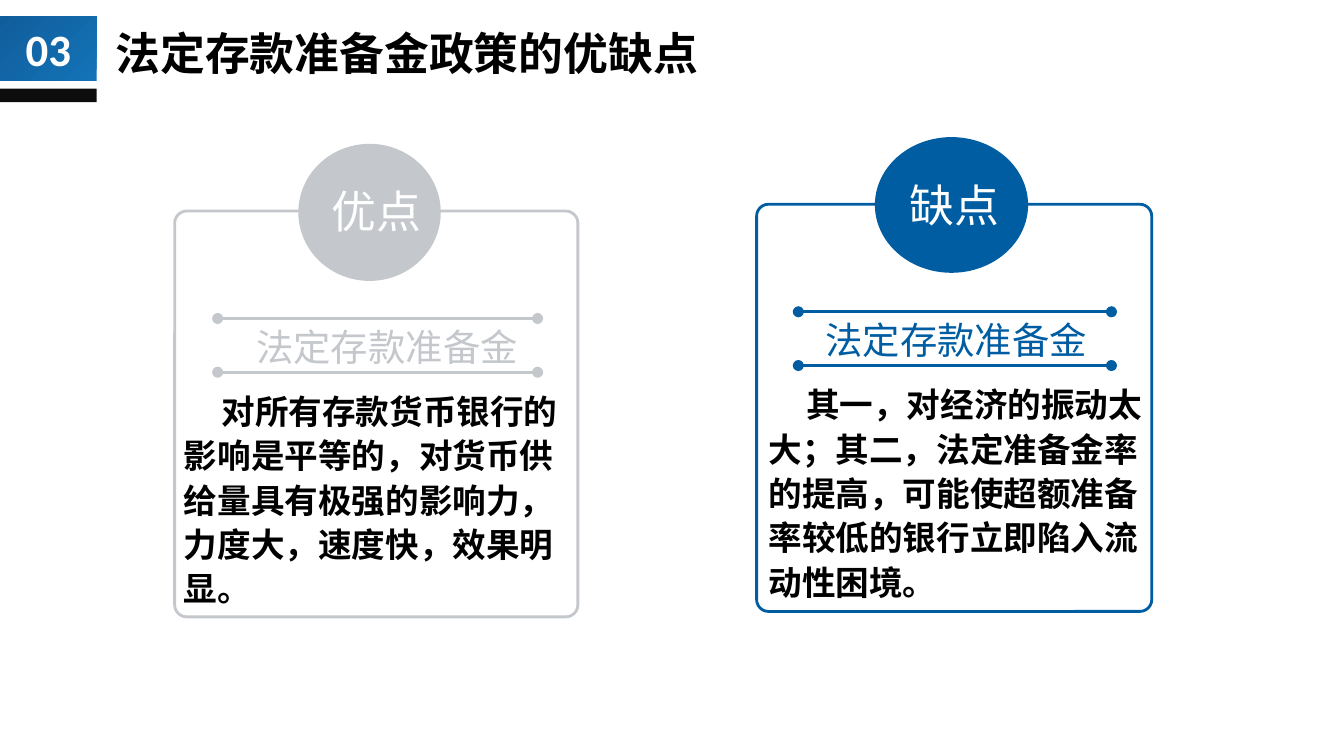
import pptx
import pptx.dml.color
import pptx.enum.shapes
import pptx.enum.text
import pptx.oxml.ns
import pptx.util
from lxml import etree

PX = 9144
BLUE, GREY, WHITE, BLACK = "005DA2", "C4C7CB", "FFFFFF", "000000"
CJK, LATIN = "Noto Sans CJK SC", "Calibri"
SHAPE = pptx.enum.shapes.MSO_SHAPE
ALIGN = pptx.enum.text.PP_ALIGN
ANCHOR = pptx.enum.text.MSO_ANCHOR


def px(*lengths):
    """Turn whole pixel lengths into EMU."""
    return [pptx.util.Emu(length * PX) for length in lengths]


def rgb(color):
    """Turn a hex string into a colour."""
    return pptx.dml.color.RGBColor.from_string(color)


def add_child(parent, tag, **attributes):
    """Append a drawing element to a parent element."""
    return etree.SubElement(parent, pptx.oxml.ns.qn(tag), attributes)


def set_text(shape, text, size=24, color=BLACK, font=CJK, bold=False, align=ALIGN.LEFT,
             anchor=ANCHOR.TOP, side=10, indent=0, spacing=1.0):
    """Write one formatted paragraph into a shape."""
    frame = shape.text_frame
    frame.text = text
    frame.word_wrap = True
    frame.auto_size = pptx.enum.text.MSO_AUTO_SIZE.NONE
    frame.vertical_anchor = anchor
    frame.margin_left, frame.margin_right = px(side, side)
    frame.margin_top, frame.margin_bottom = px(5, 5)
    paragraph = frame.paragraphs[0]
    paragraph.alignment = align
    paragraph.line_spacing = spacing
    paragraph.space_before = pptx.util.Pt(0)
    if indent:
        paragraph._p.get_or_add_pPr().set("indent", str(indent * PX))
    run = paragraph.runs[0]
    run.font.size = pptx.util.Pt(size)
    run.font.bold = bold
    run.font.color.rgb = rgb(color)
    run.font.name = font
    add_child(run._r.get_or_add_rPr(), "a:ea", typeface=font)


def add_text(shapes, box, text, **text_format):
    """Add a text box."""
    set_text(shapes.add_textbox(*px(*box)), text, **text_format)


def add_shape(shapes, kind, box, fill=None, line=None):
    """Add a preset shape with a plain fill or outline."""
    shape = shapes.add_shape(kind, *px(*box))
    shape.shadow.inherit = False
    if fill:
        shape.fill.solid()
        shape.fill.fore_color.rgb = rgb(fill)
    else:
        shape.fill.background()
    if line:
        shape.line.color.rgb = rgb(line)
        shape.line.width = pptx.util.Pt(1.5)
    else:
        shape.line.fill.background()
    return shape


def add_rule(shapes, left, right, y, color):
    """Add a horizontal line with round ends."""
    straight = pptx.enum.shapes.MSO_CONNECTOR.STRAIGHT
    rule = shapes.add_connector(straight, *px(left, y, right, y))
    rule.line.color.rgb = rgb(color)
    rule.line.width = pptx.util.Pt(1.5)
    outline = rule.line._get_or_add_ln()
    add_child(outline, "a:headEnd", type="oval")
    add_child(outline, "a:tailEnd", type="oval")
    add_child(rule._element.spPr, "a:effectLst")


def add_header(slide, number, title):
    """Fill the title and add the numbered badge beside it."""
    placeholder = slide.shapes.title
    placeholder.left, placeholder.top, placeholder.width, placeholder.height = px(76, 14, 487, 91)
    set_text(placeholder, title, bold=True)
    badge = add_shape(slide.shapes, SHAPE.RECTANGLE, (0, 12, 72, 48), BLUE)
    badge.fill.gradient()
    badge.fill.gradient_angle = 135
    for stop, color in zip(badge.fill.gradient_stops, ("1373B7", "115D9B")):
        stop.color.rgb = rgb(color)
    set_text(badge, number, color=WHITE, font=LATIN, bold=True,
             align=ALIGN.CENTER, anchor=ANCHOR.MIDDLE)
    add_shape(slide.shapes, SHAPE.RECTANGLE, (0, 66, 72, 10), "0D0D0D")


def add_card(slide, label, body, color, frame, circle, label_span, rule_span, heading_span, body_span):
    """Add a framed card; each span is a left edge and a width."""
    shapes = slide.shapes.add_group_shape().shapes
    top = frame[1]
    centred = {"align": ALIGN.CENTER, "side": 0}
    card = add_shape(shapes, SHAPE.ROUNDED_RECTANGLE, frame, line=color)
    card.adjustments[0] = 0.03
    left, width, height = circle
    add_shape(shapes, SHAPE.OVAL, (left, top - 50, width, height), color)
    left, width = label_span
    add_text(shapes, (left, top - 25, width, 50), label, color=WHITE,
             anchor=ANCHOR.MIDDLE, **centred)
    left, width = rule_span
    for offset in (80, 120):
        add_rule(shapes, left, left + width, top + offset, color)
    left, width = heading_span
    add_text(shapes, (left, top + 79, width, 44), "法定存款准备金", size=20, color=color, **centred)
    left, width = body_span
    add_text(shapes, (left, top + 126, width, 177), body, size=18, font=LATIN, bold=True,
             indent=28, spacing=1.1)


def main():
    """Build the slide and save it."""
    presentation = pptx.Presentation()
    presentation.slide_width = pptx.util.Inches(10)
    presentation.slide_height = presentation.slide_width * 9 // 16
    slide = presentation.slides.add_slide(presentation.slide_layouts[5])
    add_header(slide, "03", "法定存款准备金政策的优缺点")
    add_card(slide, "缺点",
             "其一，对经济的振动太大；其二，法定准备金率的提高，可能使超额准备率较低的银行立即陷入流动性困境。",
             BLUE, frame=(563, 152, 294, 303), circle=(651, 114, 101), label_span=(664, 92),
             rule_span=(594, 233), heading_span=(604, 215), body_span=(562, 302))
    add_card(slide, "优点",
             "对所有存款货币银行的影响是平等的，对货币供给量具有极强的影响力，力度大，速度快，效果明显。",
             GREY, frame=(130, 157, 300, 302), circle=(222, 106, 102), label_span=(233, 94),
             rule_span=(162, 238), heading_span=(169, 238), body_span=(127, 308))
    presentation.save("out.pptx")


if __name__ == "__main__":
    main()
